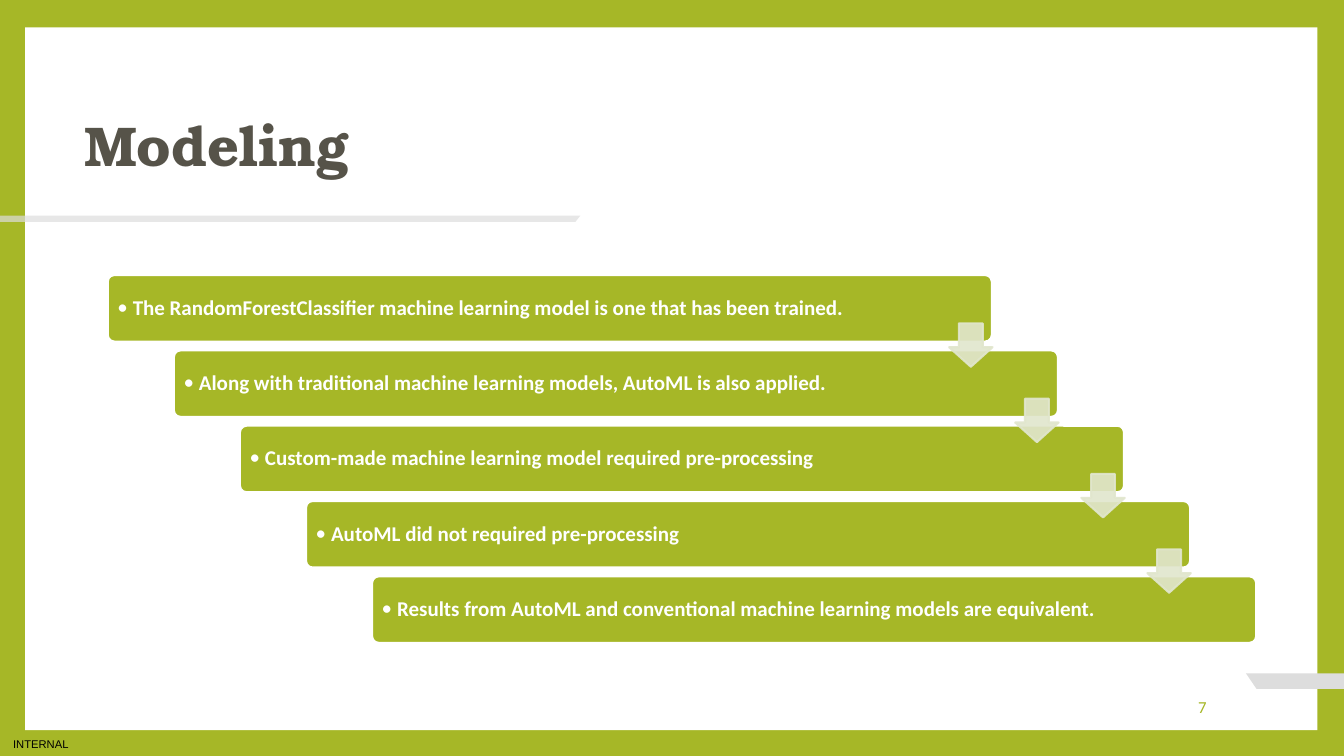
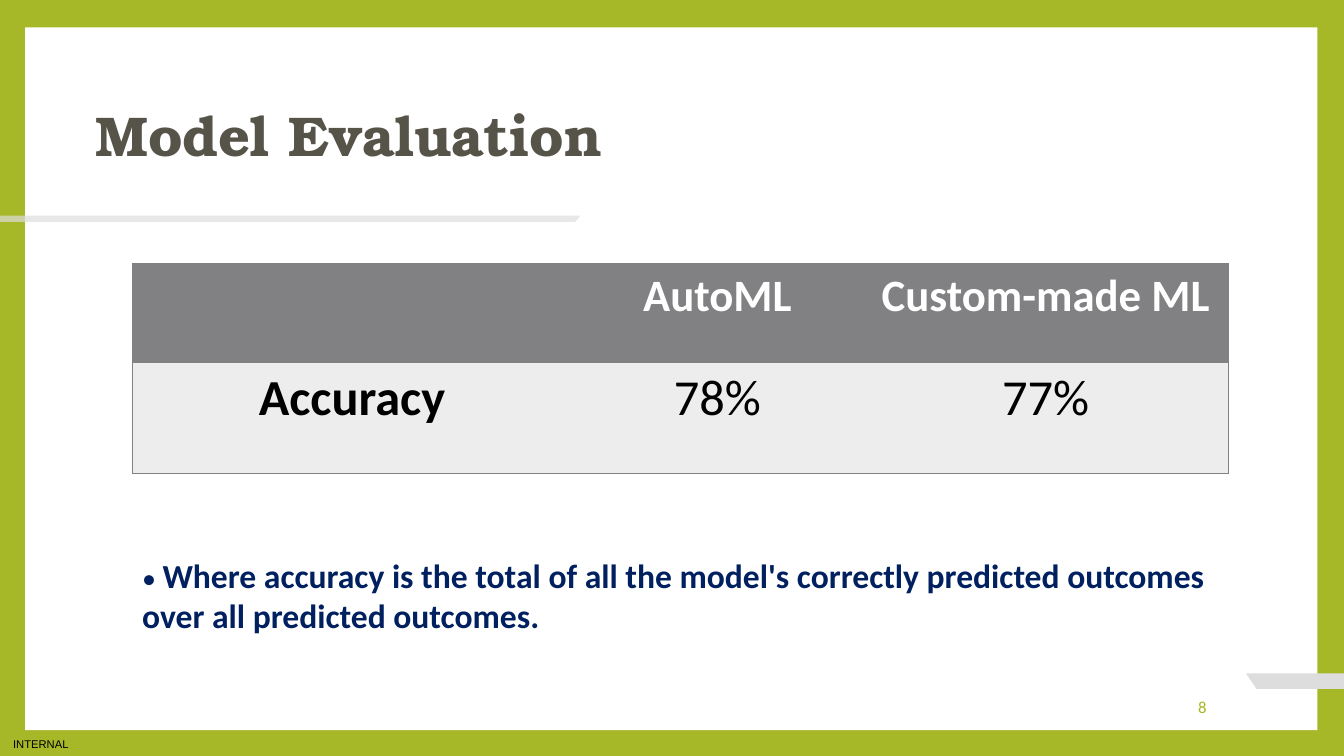
"""Build the modeling and model evaluation slides."""
from dataclasses import dataclass

from lxml import etree
from pptx import Presentation
from pptx import util as u
from pptx.dml.color import RGBColor
from pptx.enum import shapes, text
from pptx.oxml import ns

Pt = u.Pt
LEFT, CENTER, RIGHT = text.PP_ALIGN.LEFT, text.PP_ALIGN.CENTER, text.PP_ALIGN.RIGHT
MIDDLE, TOP = text.MSO_ANCHOR.MIDDLE, text.MSO_ANCHOR.TOP


@dataclass(frozen=True)
class Theme:
    """Colours, fonts and type sizes of the deck."""
    accent: str = "A6B727"
    white: str = "FFFFFF"
    black: str = "000000"
    bar: str = "DDDDDD"
    heading: str = "565349"
    arrow: str = "E1E6CD"
    table_head: str = "818183"
    table_body: str = "EDEDED"
    note: str = "002060"
    title_font: str = "TeX Gyre Bonum"
    body_font: str = "Calibri"
    label_font: str = "Arial"
    title: int = 40
    cell: int = 36
    cell_head: int = 32
    note_size: int = 24
    note_bullet: int = 20
    step: int = 15
    number: int = 12
    label: int = 8


T = Theme()
NO_TABLE_STYLE = "{2D5ABB26-0587-4C30-8999-92F81FD0307C}"
STEPS = [
    "The RandomForestClassifier machine learning model is one that has been trained.",
    "Along with traditional machine learning models, AutoML is also applied.",
    "Custom-made machine learning model required pre-processing",
    "AutoML did not required pre-processing",
    "Results from AutoML and conventional machine learning models are equivalent.",
]
ACCURACY = [["", "AutoML", "Custom-made ML"], ["Accuracy", "78%", "77%"]]


def rgb(color):
    """Return the colour object for a hex string."""
    return RGBColor.from_string(color)


def add_run(p, content, size, color, bold=False, font=T.body_font):
    """Add one formatted run to a paragraph."""
    r = p.add_run()
    r.text = content
    r.font.size, r.font.bold, r.font.name = Pt(size), bold, font
    r.font.color.rgb = rgb(color)


def set_frame(tf, anchor, insets=(7.2, 3.6)):
    """Set wrapping, anchor and insets, and return the first paragraph."""
    tf.word_wrap, tf.vertical_anchor = True, anchor
    tf.auto_size = text.MSO_AUTO_SIZE.NONE
    tf.margin_left = tf.margin_right = Pt(insets[0])
    tf.margin_top = tf.margin_bottom = Pt(insets[1])
    return tf.paragraphs[0]


def add_text(s, box, align=LEFT, anchor=TOP, insets=(7.2, 3.6)):
    """Add a text box and return it with its first paragraph."""
    sp = s.shapes.add_textbox(*map(Pt, box))
    p = set_frame(sp.text_frame, anchor, insets)
    p.alignment = align
    return sp, p


def paint(sp, fill, line=None, opacity=100):
    """Give a shape a flat fill and an optional outline."""
    sp.shadow.inherit = False
    sp.fill.solid()
    sp.fill.fore_color.rgb = rgb(fill)
    if line:
        sp.line.color.rgb, sp.line.width = rgb(line), Pt(1.5)
    else:
        sp.line.fill.background()
    if opacity < 100:
        for clr in sp.element.spPr.iter(ns.qn("a:srgbClr")):
            etree.SubElement(clr, ns.qn("a:alpha"), val=str(opacity * 1000))


def add_shape(s, kind, box, fill, line=None, opacity=100):
    """Add a painted preset shape."""
    sp = s.shapes.add_shape(kind, *map(Pt, box))
    paint(sp, fill, line, opacity)
    return sp


def add_bar(s, points, opacity=100):
    """Add a slanted grey bar through the given corners."""
    corners = [(Pt(x), Pt(y)) for x, y in points]
    builder = s.shapes.build_freeform(*corners[0])
    builder.add_line_segments(corners[1:], close=True)
    sp = builder.convert_to_shape()
    paint(sp, T.bar, opacity=opacity)
    return sp


def dress_master(prs, s):
    """Draw the shared frame, label and bars and move them to the master."""
    master = prs.slide_master
    master.background.fill.solid()
    master.background.fill.fore_color.rgb = rgb(T.accent)
    panel = add_shape(s, shapes.MSO_SHAPE.RECTANGLE, (18, 19.5, 923, 502), T.white)
    label, p = add_text(s, (0, 522.7, 58.5, 17.3), CENTER, MIDDLE, (0, 0))
    add_run(p, "INTERNAL", T.label, T.black, font=T.label_font)
    corner = add_bar(s, [(960, 481), (960, 492), (897.5, 492), (890, 481)])
    rule = add_bar(s, [(0, 154), (0, 158.5), (411, 158.5), (414.5, 154)], 70)
    for i, sp in enumerate((panel, label, corner, rule)):
        sp.element.xpath("./p:nvSpPr/p:cNvPr")[0].set("id", str(100 + i))
        master.shapes.element.insert(2 + i, sp.element)


def set_title(s, title, box):
    """Place and format the title placeholder."""
    sp = s.shapes.title
    sp.left, sp.top, sp.width, sp.height = map(Pt, box)
    p = set_frame(sp.text_frame, TOP)
    p.alignment, p.line_spacing = LEFT, 0.9
    add_run(p, title, T.title, T.heading, True, T.title_font)


def add_number(s, number):
    """Add the slide number at the lower right."""
    _, p = add_text(s, (734.5, 490.5, 134.5, 29), RIGHT, MIDDLE)
    add_run(p, str(number), T.number, T.accent)


def set_bullet(p, indent):
    """Give a paragraph a hanging round bullet."""
    pPr = p._p.get_or_add_pPr()
    pPr.set("marL", str(Pt(indent)))
    pPr.set("indent", str(-Pt(indent)))
    etree.SubElement(pPr, ns.qn("a:buFont"), typeface=T.body_font)
    etree.SubElement(pPr, ns.qn("a:buChar"), char="•")


def add_staircase(s, steps):
    """Add descending step cards, then the arrows that link them."""
    corners = [(77 + 47.2 * i, 196.5 + 53.8 * i) for i in range(len(steps))]
    for (x, y), step in zip(corners, steps):
        sp = add_shape(s, shapes.MSO_SHAPE.ROUNDED_RECTANGLE,
                       (x, y, 631.5, 47.5), T.accent, T.white)
        sp.adjustments[0] = 0.1
        p = set_frame(sp.text_frame, MIDDLE, (5.5, 4))
        p.alignment, p.line_spacing = LEFT, 0.9
        set_bullet(p, 11)
        add_run(p, step, T.step, T.white, True)
    for x, y in corners[:-1]:
        sp = add_shape(s, shapes.MSO_SHAPE.DOWN_ARROW,
                       (x + 601, y + 34.5, 31, 31), T.arrow, T.arrow, 90)
        sp.adjustments[0], sp.adjustments[1] = 0.55, 0.45


def set_borders(cell, sides):
    """Draw thin lines on the named sides of a cell, in schema order."""
    tcPr = cell._tc.get_or_add_tcPr()
    for i, side in enumerate(sides):
        ln = etree.Element(ns.qn(f"a:ln{side}"), w=str(Pt(1)))
        fill = etree.SubElement(ln, ns.qn("a:solidFill"))
        etree.SubElement(fill, ns.qn("a:srgbClr"), val=T.table_head)
        tcPr.insert(i, ln)


def add_table(s, rows, box, widths, heights):
    """Add a table with a dark header row and a thin outer border."""
    frame = s.shapes.add_table(len(rows), len(widths), *map(Pt, box))
    table = frame.table
    next(frame.element.iter(ns.qn("a:tableStyleId"))).text = NO_TABLE_STYLE
    for col, width in zip(table.columns, widths):
        col.width = Pt(width)
    for row, height in zip(table.rows, heights):
        row.height = Pt(height)
    for i, row in enumerate(rows):
        head = i == 0
        for j, value in enumerate(row):
            cell = table.cell(i, j)
            cell.fill.solid()
            cell.fill.fore_color.rgb = rgb(T.table_head if head else T.table_body)
            edges = {"L": j == 0, "R": j == len(row) - 1,
                     "T": head, "B": i == len(rows) - 1}
            set_borders(cell, [side for side, outer in edges.items() if outer])
            if value:
                p = cell.text_frame.paragraphs[0]
                p.alignment = CENTER
                add_run(p, value, T.cell_head if head else T.cell,
                        T.white if head else T.black, head or j == 0)


def add_note(s, note, box):
    """Add a bold note led by a smaller dot."""
    _, p = add_text(s, box)
    add_run(p, "• ", T.note_bullet, T.note)
    add_run(p, note, T.note_size, T.note, True)


def main():
    """Build and save the deck."""
    prs = Presentation()
    prs.slide_width, prs.slide_height = Pt(960), Pt(540)
    layout = prs.slide_layouts.get_by_name("Title Only")

    s = prs.slides.add_slide(layout)
    dress_master(prs, s)
    set_title(s, "Modeling", (53, 80.5, 348, 59))
    add_staircase(s, STEPS)
    add_number(s, 7)

    s = prs.slides.add_slide(layout)
    set_title(s, "Model Evaluation", (61, 73.5, 400, 59))
    add_table(s, ACCURACY, (94.5, 188.5, 783, 150), (314, 208, 261), (70.5, 79.5))
    add_note(s, "Where accuracy is the total of all the model's correctly "
                "predicted outcomes over all predicted outcomes.",
             (94.5, 392.5, 803.5, 65.5))
    add_number(s, 8)

    prs.save("out.pptx")


if __name__ == "__main__":
    main()
